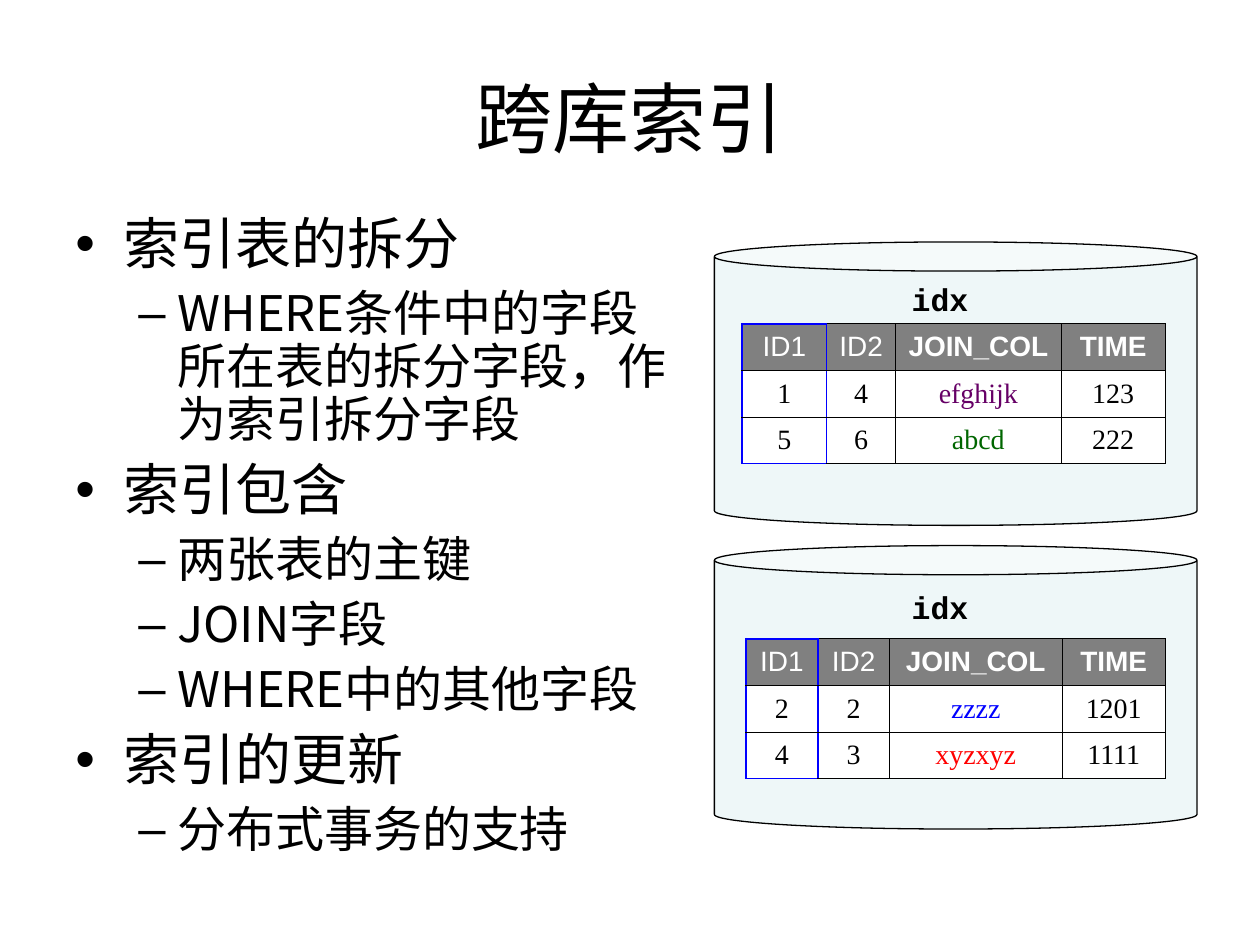
from lxml import etree
from pptx import Presentation
from pptx.dml.color import RGBColor
from pptx.enum.shapes import MSO_SHAPE
from pptx.enum.text import MSO_ANCHOR, PP_ALIGN
from pptx.oxml.ns import qn
from pptx.util import Inches, Pt

CAN = MSO_SHAPE.CAN
MIDDLE = MSO_ANCHOR.MIDDLE
CENTER = PP_ALIGN.CENTER
LEFT = PP_ALIGN.LEFT

CJK_FONT = "Noto Sans CJK SC"
BLACK, WHITE, GRAY, BLUE = "000000", "FFFFFF", "808080", "0000FF"
HEADER = ["ID1", "ID2", "JOIN_COL", "TIME"]
ROW_HEIGHT = 0.37

# level, text
OUTLINE = [
    (0, "索引表的拆分"),
    (1, "WHERE条件中的字段所在表的拆分字段，作为索引拆分字段"),
    (0, "索引包含"),
    (1, "两张表的主键"),
    (1, "JOIN字段"),
    (1, "WHERE中的其他字段"),
    (0, "索引的更新"),
    (1, "分布式事务的支持"),
]
# bullet, text size, space before, left margin, hanging indent
LEVELS = [("•", 32, 8, 0.38, 0.38), ("–", 28, 7, 0.81, 0.31)]

DATABASES = [
    dict(can_top=4.33, label_top=4.62, table_at=(5.92, 5.07),
         widths=[0.57, 0.57, 1.37, 0.82], join_colors=[BLUE, "FF0000"],
         rows=[["2", "2", "zzzz", "1201"], ["4", "3", "xyzxyz", "1111"]]),
    dict(can_top=1.92, label_top=2.17, table_at=(5.89, 2.57),
         widths=[0.67, 0.55, 1.31, 0.83], join_colors=["660066", "006600"],
         rows=[["1", "4", "efghijk", "123"], ["5", "6", "abcd", "222"]]),
]


def rgb(color):
    return RGBColor.from_string(color)


def write(para, text, size=16, font=CJK_FONT, color=BLACK, bold=False,
          align=LEFT, before=0):
    para.alignment = align
    para.space_before = Pt(before)
    span = para.add_run()
    span.text = text
    span.font.size = Pt(size)
    span.font.bold = bold
    span.font.name = font
    span.font.color.rgb = rgb(color)
    east_asian = etree.SubElement(span.font._element, qn("a:ea"))
    east_asian.set("typeface", font)


def add_text_box(page, left, top, width, height):
    frame = page.shapes.add_textbox(
        Inches(left), Inches(top), Inches(width), Inches(height)).text_frame
    frame.word_wrap = True
    return frame


def add_bullet(para, mark, margin, hanging):
    properties = para._p.get_or_add_pPr()
    properties.set("marL", str(Inches(margin)))
    properties.set("indent", str(-Inches(hanging)))
    bullet_color = etree.SubElement(properties, qn("a:buClr"))
    etree.SubElement(bullet_color, qn("a:srgbClr"), val=BLACK)
    etree.SubElement(properties, qn("a:buFont"), typeface="Arial")
    etree.SubElement(properties, qn("a:buChar"), char=mark)


def add_outline(page):
    frame = add_text_box(page, 0.5, 1.67, 4.92, 5.5)
    for index, (level, text) in enumerate(OUTLINE):
        mark, size, before, margin, hanging = LEVELS[level]
        para = frame.add_paragraph() if index else frame.paragraphs[0]
        para.level = level
        para.line_spacing = 0.9
        write(para, text, size=size, before=before)
        add_bullet(para, mark, margin, hanging)


def add_can(page, top):
    can = page.shapes.add_shape(
        CAN, Inches(5.67), Inches(top), Inches(3.83), Inches(2.25))
    can.adjustments[0] = 0.103
    can.shadow.inherit = False
    can.fill.solid()
    can.fill.fore_color.rgb = rgb("BBE0E3")
    fill_color = can._element.spPr.find(qn("a:solidFill")).find(qn("a:srgbClr"))
    etree.SubElement(fill_color, qn("a:alpha"), val="24000")
    can.line.color.rgb = rgb(BLACK)
    can.line.width = Pt(0.75)


def set_borders(cell, blue_sides):
    """Draw all four sides; those in blue_sides are blue and thicker."""
    properties = cell._tc.get_or_add_tcPr()
    for side in "LRTB":
        color, width = (BLUE, 1.08) if side in blue_sides else (BLACK, 0.45)
        border = etree.SubElement(properties, qn("a:ln" + side), w=str(Pt(width)))
        fill = etree.SubElement(border, qn("a:solidFill"))
        etree.SubElement(fill, qn("a:srgbClr"), val=color)


def blue_sides(row, column, last_row):
    """The first column is framed in blue."""
    if column == 0:
        return "LR" + ("T" if row == 0 else "") + ("B" if row == last_row else "")
    return "L" if column == 1 else ""


def add_index_table(page, at, widths, rows, join_colors):
    content = [HEADER] + rows
    left, top = at
    table = page.shapes.add_table(
        len(content), len(widths), Inches(left), Inches(top),
        Inches(sum(widths)), Inches(ROW_HEIGHT * len(content))).table
    table.first_row = table.horz_banding = False
    for column, width in enumerate(widths):
        table.columns[column].width = Inches(width)
    for row, values in enumerate(content):
        table.rows[row].height = Inches(ROW_HEIGHT)
        for column, value in enumerate(values):
            cell = table.cell(row, column)
            cell.vertical_anchor = MIDDLE
            set_borders(cell, blue_sides(row, column, len(rows)))
            cell.fill.solid()
            cell.fill.fore_color.rgb = rgb(WHITE if row else GRAY)
            if row == 0:
                style = dict(font="Arial", color=WHITE, bold=column >= 2)
            else:
                color = join_colors[row - 1] if column == 2 else BLACK
                style = dict(font="Times New Roman", color=color)
            write(cell.text_frame.paragraphs[0], value, align=CENTER,
                  before=4, **style)


def add_database(page, can_top, label_top, table_at, widths, rows, join_colors):
    add_can(page, can_top)
    add_index_table(page, table_at, widths, rows, join_colors)
    label = add_text_box(page, 6.67, label_top, 1.58, 0.4)
    write(label.paragraphs[0], "idx", size=18, font="Courier New", bold=True,
          align=CENTER, before=11.2)


def main():
    deck = Presentation()
    deck.slide_width, deck.slide_height = Inches(10), Inches(7.5)
    page = deck.slides.add_slide(deck.slide_layouts[6])
    title = add_text_box(page, 0.5, 0.3, 9, 1.25)
    title.vertical_anchor = MIDDLE
    write(title.paragraphs[0], "跨库索引", size=44, align=CENTER)
    for database in DATABASES:
        add_database(page, **database)
    add_outline(page)
    deck.save("out.pptx")


if __name__ == "__main__":
    main()
